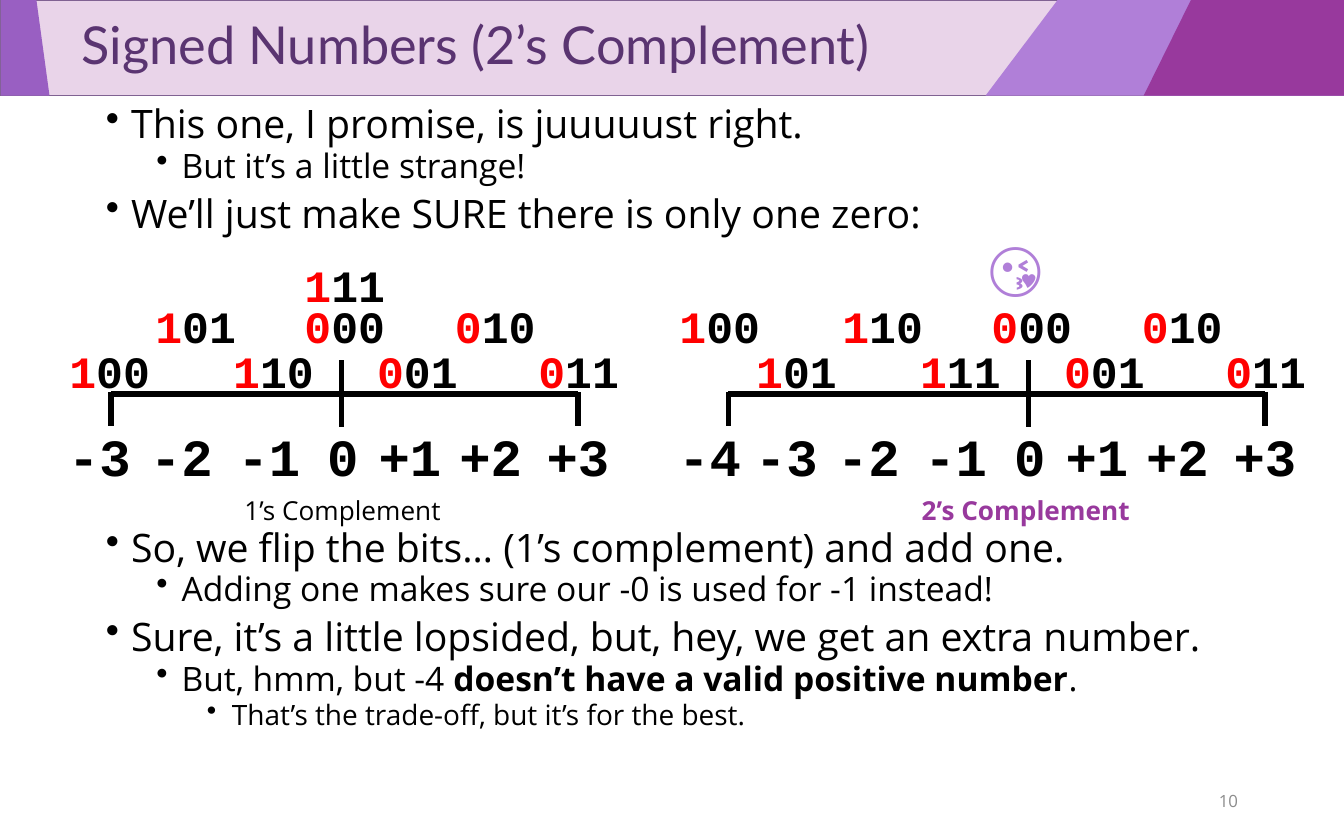
import pptx
import pptx.util
import pptx.dml.color
import pptx.enum.shapes
import pptx.enum.text
import pptx.oxml
import pptx.oxml.ns

Pt = pptx.util.Pt
RGBColor = pptx.dml.color.RGBColor
ALIGN = pptx.enum.text.PP_ALIGN
ANCHOR = pptx.enum.text.MSO_ANCHOR

BLACK = RGBColor(0, 0, 0)
RED = RGBColor(0xFF, 0, 0)
GREY = RGBColor(0x8C, 0x8C, 0x8C)
PINK = RGBColor(0xE9, 0xD4, 0xE9)
OUTLINE = RGBColor(0x80, 0x62, 0x92)
LILAC = RGBColor(0xB0, 0x7F, 0xD8)
VIOLET = RGBColor(0x99, 0x5F, 0xC2)
PURPLE = RGBColor(0x98, 0x39, 0x9D)
TITLE = RGBColor(0x5A, 0x34, 0x71)

WIDTH, HEIGHT, BAND = 720, 450, 51.2
SHIFT = 368
LEVELS = [(21, 7.2), (18, 3.3), (15, 3.3)]
GAP = 158.7
BULLETS = [
    (0, ["This one, I promise, is juuuuust right."], None),
    (1, ["But it’s a little strange!"], None),
    (0, ["We’ll just make SURE there is only one zero:"], None),
    (0, ["So, we flip the bits… (1’s complement) and add one."], GAP),
    (1, ["Adding one makes sure our -0 is used for -1 instead!"], None),
    (0, ["Sure, it’s a little lopsided, but, hey, we get an extra number."], None),
    (1, ["But, hmm, but -4 ", "doesn’t have a valid positive number", "."], None),
    (2, ["That’s the trade-off, but it’s for the best."], None),
]
CODE_CENTRES = {-4: 17.6, -3: 58.7, -2: 104.8, -1: 146.5, 0: 184.7, 1: 223.6, 2: 265.3, 3: 310}
VALUE_CENTRES = {-4: 12.2, -3: 53.3, -2: 97.2, -1: 144, 0: 183.6, 1: 219.6, 2: 262.8, 3: 309.6}


def set_font(target, name, size, color, bold=False):
    """Format the font of a paragraph or a run."""
    target.font.name = name
    target.font.size = Pt(size)
    target.font.color.rgb = color
    target.font.bold = bold


def add_band_piece(page, color, points):
    """Draw one filled outline of the title band."""
    builder = page.shapes.build_freeform(Pt(points[0][0]), Pt(points[0][1]), scale=1.0)
    builder.add_line_segments([(Pt(x), Pt(y)) for x, y in points[1:]], close=True)
    piece = builder.convert_to_shape()
    piece.fill.solid()
    piece.fill.fore_color.rgb = color
    piece.line.fill.background()
    piece.shadow.inherit = False


def add_band(page):
    """Draw the coloured band behind the title."""
    band = page.shapes.add_shape(
        pptx.enum.shapes.MSO_SHAPE.RECTANGLE, 0, 0, Pt(WIDTH), Pt(BAND))
    band.fill.solid()
    band.fill.fore_color.rgb = PINK
    band.line.color.rgb = OUTLINE
    band.line.width = Pt(1)
    band.shadow.inherit = False
    add_band_piece(page, LILAC, [(566.6, 0), (WIDTH, 0), (WIDTH, BAND), (528, BAND)])
    add_band_piece(page, VIOLET, [(0.5, 0), (19.5, 0), (26.5, BAND), (0.5, BAND)])
    add_band_piece(page, PURPLE, [(638, 0), (WIDTH, 0), (WIDTH, BAND), (612.7, BAND)])


def add_title(page, text):
    """Place the title placeholder in front of the band."""
    title = page.shapes.title
    title.element.getparent().append(title.element)
    title.left, title.top, title.width, title.height = Pt(0.5), 0, Pt(WIDTH), Pt(BAND)
    frame = title.text_frame
    frame.text = text
    frame.auto_size = pptx.enum.text.MSO_AUTO_SIZE.NONE
    frame.vertical_anchor = ANCHOR.MIDDLE
    frame.margin_left = Pt(43.2)
    para = frame.paragraphs[0]
    para.alignment = ALIGN.LEFT
    para.line_spacing = 0.9
    set_font(para, "Lato", 28, TITLE)


def add_text(page, place, text, name, size, color, bold=False, align=ALIGN.LEFT, wrap=True):
    """Add a one-paragraph text box and return its paragraph."""
    box = page.shapes.add_textbox(*[Pt(length) for length in place])
    box.text_frame.word_wrap = wrap
    para = box.text_frame.paragraphs[0]
    para.text = text
    para.alignment = align
    set_font(para, name, size, color, bold)
    return para


def add_bullets(page):
    """Add the bulleted text, leaving a gap for the number lines."""
    box = page.shapes.add_textbox(Pt(49.7), Pt(54.7), Pt(620.6), Pt(390))
    frame = box.text_frame
    frame.word_wrap = True
    for index, (level, pieces, before) in enumerate(BULLETS):
        para = frame.paragraphs[0] if index == 0 else frame.add_paragraph()
        size, space = LEVELS[level]
        para.level = level
        para.line_spacing = 0.8
        para.space_before = Pt(before or space)
        set_font(para, "Open Sans", size, BLACK)
        for order, piece in enumerate(pieces):
            span = para.add_run()
            span.text = piece
            set_font(span, "Open Sans", size, BLACK, order == 1)
        properties = para._p.get_or_add_pPr()
        properties.set("marL", str(Pt(13.5 + 27 * level)))
        properties.set("indent", str(Pt(-13.5)))
        bullet = pptx.oxml.parse_xml(
            f'<a:buChar {pptx.oxml.ns.nsdecls("a")} char="•"/>')
        properties.insert_element_before(bullet, "a:tabLst", "a:defRPr", "a:extLst")


def add_line(page, x1, y1, x2, y2):
    """Draw one black stroke of a number line."""
    line = page.shapes.add_connector(
        pptx.enum.shapes.MSO_CONNECTOR.STRAIGHT, Pt(x1), Pt(y1), Pt(x2), Pt(y2))
    line.line.color.rgb = BLACK
    line.line.width = Pt(3)
    line.element.spPr.append(
        pptx.oxml.parse_xml(f'<a:effectLst {pptx.oxml.ns.nsdecls("a")}/>'))


def add_code(page, centre, top, code):
    """Add a bit pattern with a red sign bit."""
    para = add_text(page, (centre - 42, top, 84, 36), code[0],
                    "Courier New", 24, RED, True, ALIGN.CENTER)
    span = para.add_run()
    span.text = code[1:]
    set_font(span, "Courier New", 24, BLACK, True)


def add_number_line(page, shift, start, codes):
    """Draw a number line whose values count up from the first one."""
    first = -3 if shift == 0 else -4
    end = shift + 309.8
    add_line(page, start, 211, end, 211)
    for tick in (start, end):
        add_line(page, tick, 210.2, tick, 228.2)
    add_line(page, shift + 183, 193, shift + 183, 229)
    for value, code in enumerate(codes, first):
        top = 156.6 if value % 2 == 0 else 180.4
        add_code(page, shift + CODE_CENTRES[value], top, code)
        label = f"{value:+d}" if value else "0"
        add_text(page, (shift + VALUE_CENTRES[value] - 24.5, 223.6, 49, 41), label,
                 "Courier New", 28, BLACK, True, ALIGN.CENTER)


def main():
    """Build the deck and save it."""
    deck = pptx.Presentation()
    deck.slide_width, deck.slide_height = Pt(WIDTH), Pt(HEIGHT)
    page = deck.slides.add_slide(deck.slide_layouts[5])
    add_band(page)
    add_title(page, "Signed Numbers (2’s Complement)")
    add_bullets(page)
    number = add_text(page, (508.3, 417, 162, 24), "10", "Open Sans", 9, GREY,
                      align=ALIGN.RIGHT)
    number._parent.vertical_anchor = ANCHOR.MIDDLE
    add_number_line(page, 0, 59.4, ["100", "101", "110", "000", "001", "010", "011"])
    add_code(page, CODE_CENTRES[0], 134.8, "111")
    add_number_line(page, SHIFT, 390.2,
                    ["100", "101", "110", "111", "000", "001", "010", "011"])
    add_text(page, (123.8, 261.4, 121, 24.5), "1’s Complement", "Open Sans", 14, BLACK,
             wrap=False)
    add_text(page, (486.7, 261.4, 127.4, 24.5), "2’s Complement", "Open Sans", 14, PURPLE,
             True, wrap=False)
    add_text(page, (522.7, 119.5, 59, 46), "😘", "Open Sans", 32, LILAC, wrap=False)
    deck.save("out.pptx")


if __name__ == "__main__":
    main()
